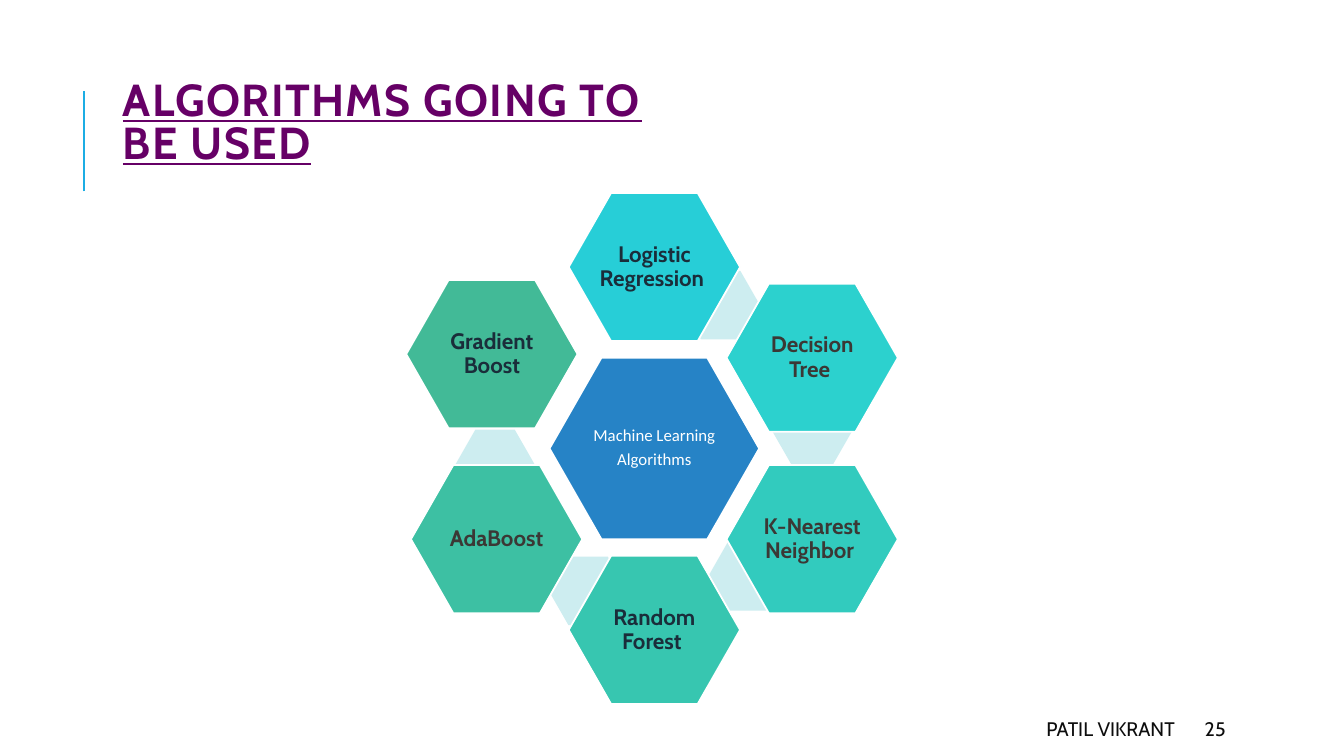
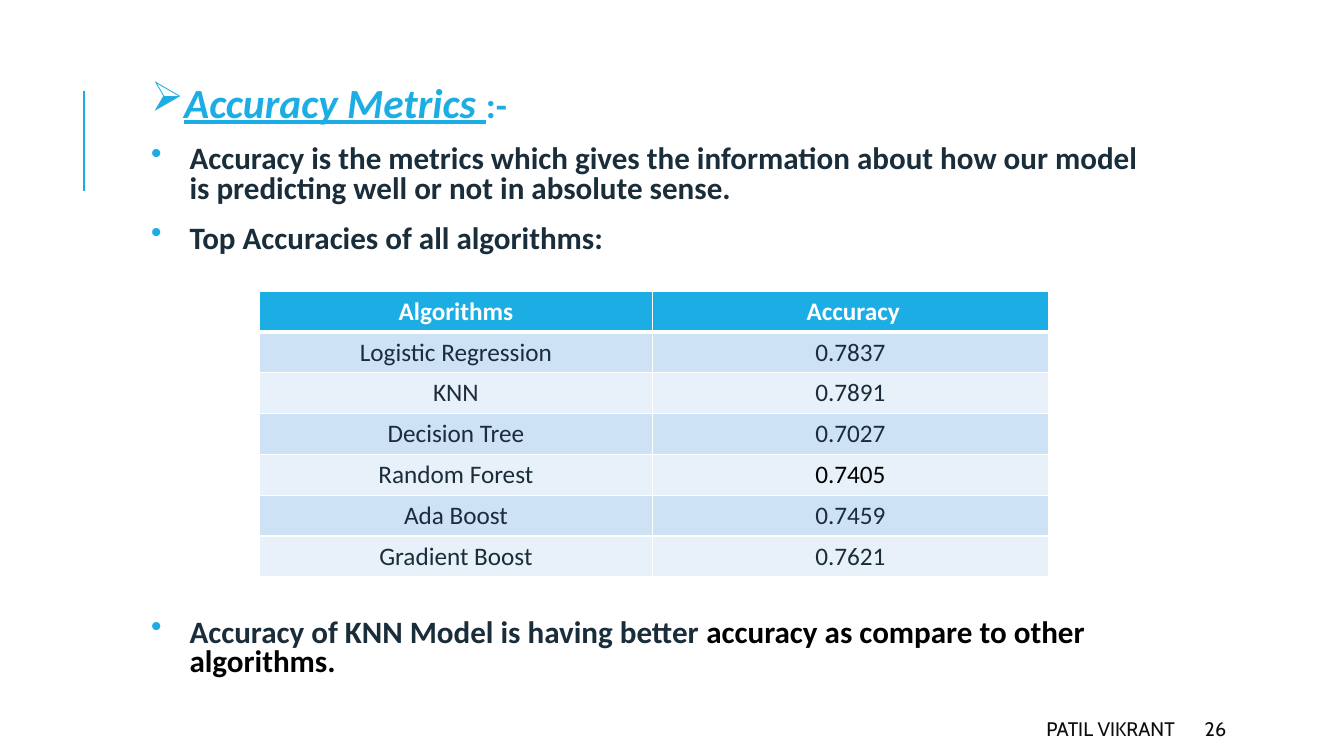
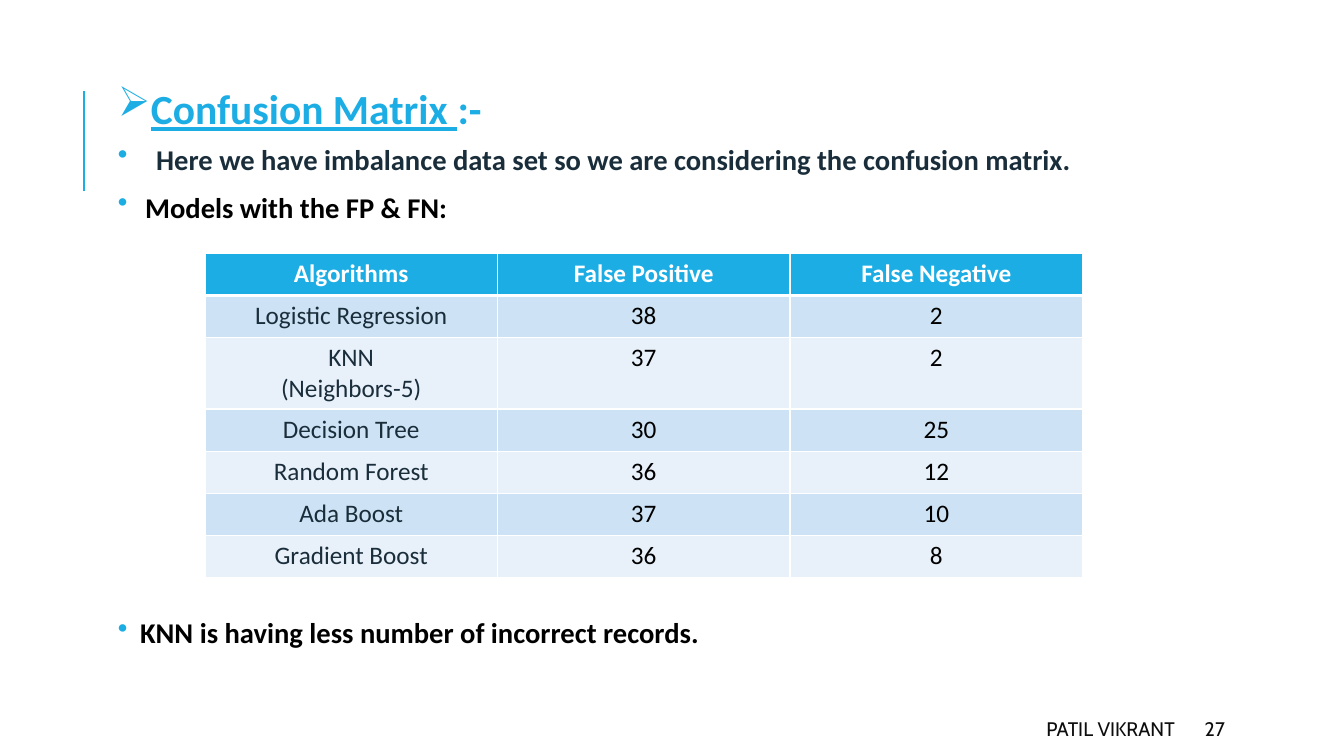
from lxml import etree
from pptx import Presentation
from pptx.dml.color import RGBColor
from pptx.enum.shapes import MSO_CONNECTOR, MSO_SHAPE
from pptx.enum.text import MSO_ANCHOR, PP_ALIGN
from pptx.oxml.ns import qn
from pptx.util import Emu, Inches, Pt

WIDE, HIGH = Inches(13.33), Inches(7.5)
HEX = MSO_SHAPE.HEXAGON
LINE = MSO_CONNECTOR.STRAIGHT
MID, TOP = MSO_ANCHOR.MIDDLE, MSO_ANCHOR.TOP
LEFT, MIDST, RIGHT = PP_ALIGN.LEFT, PP_ALIGN.CENTER, PP_ALIGN.RIGHT
HEAD, BODY = "Cabin", "Calibri"
BLUE, INK, BLACK, WHITE = "1CADE4", "1A2D3A", "000000", "FFFFFF"
PLUM, GREY, STONE, PALE = "660066", "0D0D0D", "3B3835", "CDEDF0"
BANDS = ("CDE3F5", "E8F1FA")

HUB_X, HUB_Y = 48.69, 59.33
STEP_X, STEP_Y = 11.74, 12
NODES = (
    ("Logistic Regression ", 0, -2, "27CED7", INK),
    ("Decision Tree ", 1, -1, "2CD1CE", STONE),
    ("K-Nearest Neighbor ", 1, 1, "32CBBE", STONE),
    ("Random Forest ", 0, 2, "37C6B0", INK),
    ("AdaBoost", -1, 1, "3DC0A3", STONE),
    ("Gradient Boost", -1.03, -1.04, "42BA97", INK),
)
LINKS = ((0.42, -1.58), (1, -0.18), (0.59, 1.41), (-0.42, 1.57), (-1.01, 0.17))

SCORES = (
    ("Algorithms", " Accuracy"),
    ("Logistic Regression", "0.7837"),
    ("KNN", "0.7891"),
    ("Decision Tree", "0.7027"),
    ("Random Forest", "0.7405"),
    ("Ada Boost", "0.7459"),
    ("Gradient Boost", "0.7621"),
)
ERRORS = (
    ("Algorithms", "False Positive", "False Negative"),
    ("Logistic Regression", "38", "2"),
    ("KNN\n(Neighbors-5)", "37", "2"),
    ("Decision Tree", "30", "25"),
    ("Random Forest", "36", "12"),
    ("Ada Boost", "37", "10"),
    ("Gradient Boost", "36", "8"),
)


def rgb(code):
    """Turn a hex string into a colour."""
    return RGBColor.from_string(code)


def across(share):
    """Turn a percentage of the slide's width into a length."""
    return Emu(int(WIDE * share / 100))


def down(share):
    """Turn a percentage of the slide's height into a length."""
    return Emu(int(HIGH * share / 100))


def place(x, y, w, h):
    """Turn four percentages into left, top, width and height."""
    return across(x), down(y), across(w), down(h)


def style(font, size, color, name=BODY, bold=None):
    """Set the main traits of a font."""
    font.name, font.size, font.bold = name, Pt(size), bold
    font.color.rgb = rgb(color)


def frame(shape, anchor, pad=0.1, rise=0.05):
    """Make a shape's text wrap and set its anchor and insets."""
    text = shape.text_frame
    text.word_wrap, text.vertical_anchor = True, anchor
    text.margin_left = text.margin_right = Inches(pad)
    text.margin_top = text.margin_bottom = Inches(rise)
    return text


def label(slide, spot, words, size, color, align=LEFT, bold=None):
    """Add a one-paragraph text box and return the paragraph."""
    text = frame(slide.shapes.add_textbox(*place(*spot)), MID)
    para = text.paragraphs[0]
    para.text, para.alignment = words, align
    style(para.font, size, color, HEAD, bold)
    return para


def start(deck, number):
    """Add a slide with the side rule and the footer."""
    slide = deck.slides.add_slide(deck.slide_layouts[6])
    x = across(6.22)
    rule = slide.shapes.add_connector(LINE, x, down(25.33), x, down(12))
    rule.line.color.rgb, rule.line.width = rgb(BLUE), Pt(1.5)
    etree.SubElement(rule._element.spPr, qn("a:effectLst"))
    label(slide, (39.75, 94.4, 48.4, 4), "PATIL VIKRANT", 14, GREY, RIGHT)
    label(slide, (88.9, 94.4, 8, 4), str(number), 14, GREY)
    return slide


def cell_hex(slide, col, row, w, h, fill, edge=True):
    """Add a hexagon centred on a place of the honeycomb."""
    x, y = HUB_X + col * STEP_X, HUB_Y + row * STEP_Y
    shape = slide.shapes.add_shape(HEX, *place(x - w / 2, y - h / 2, w, h))
    shape.adjustments[0] = 0.286
    shape.shadow.inherit = False
    shape.fill.solid()
    shape.fill.fore_color.rgb = rgb(fill)
    if edge:
        shape.line.color.rgb, shape.line.width = rgb(WHITE), Pt(1.25)
    else:
        shape.line.fill.background()
    return shape


def caption(shape, words, size, color, name, bold):
    """Write centred text inside a hexagon."""
    text = frame(shape, MID, 0.02, 0.02)
    text.text = words
    for para in text.paragraphs:
        para.alignment, para.line_spacing = MIDST, 0.9
        para.space_after = Pt(size * 0.35)
        style(para.font, size, color, name, bold)


def bullet(para, mark, indent):
    """Give a paragraph a blue bullet and a hanging indent."""
    props = para._p.get_or_add_pPr()
    props.set("marL", str(Inches(indent)))
    props.set("indent", str(-Inches(indent)))
    tint = etree.SubElement(props, qn("a:buClr"))
    etree.SubElement(tint, qn("a:srgbClr")).set("val", BLUE)
    etree.SubElement(props, qn("a:buChar")).set("char", mark)


def point(text, runs, size, indent=0.38, gap=12, pitch=0.8, mark="•"):
    """Add a bold bulleted paragraph of (words, colour) runs."""
    para = text.paragraphs[0] if mark == "➢" else text.add_paragraph()
    para.line_spacing = pitch
    para.space_before, para.space_after = Pt(gap), Pt(2)
    bullet(para, mark, indent)
    for words, color in runs:
        run = para.add_run()
        run.text = words
        style(run.font, size, color, BODY, True)
    return para


def heading(text, words, pitch, tail, slant=None):
    """Add the arrowed, underlined heading of a body text."""
    runs = ((words, BLUE), (":-", BLUE))
    para = point(text, runs, 29.6, 0.1, pitch=pitch, mark="➢")
    first, last = para.runs
    first.font.underline, first.font.italic = True, slant
    last.font.size = Pt(tail)


def border(cell, base):
    """Draw white borders round a cell, with the given bottom width."""
    props = cell._tc.get_or_add_tcPr()
    for spot, (side, width) in enumerate(zip("LRTB", (1, 1, 1, base))):
        line = etree.Element(qn("a:ln" + side), w=str(Pt(width)))
        fill = etree.SubElement(line, qn("a:solidFill"))
        etree.SubElement(fill, qn("a:srgbClr")).set("val", WHITE)
        props.insert(spot, line)


def grid(slide, x, y, cols, rows, data, dark):
    """Add a banded table; the values in dark are black."""
    spot = place(x, y, sum(cols), sum(rows))
    table = slide.shapes.add_table(len(rows), len(cols), *spot).table
    for col, width in zip(table.columns, cols):
        col.width = across(width)
    for r, (row, height) in enumerate(zip(data, rows)):
        table.rows[r].height = down(height)
        for c, words in enumerate(row):
            cell = table.cell(r, c)
            cell.text = words
            cell.fill.solid()
            cell.fill.fore_color.rgb = rgb(BANDS[(r - 1) % 2] if r else BLUE)
            color = BLACK if words in dark else INK
            for para in cell.text_frame.paragraphs:
                para.alignment = MIDST
                style(para.font, 18, color if r else WHITE, BODY, not r)
            border(cell, 1 if r else 3)


def body(slide, *spot):
    """Add the text box that holds a slide's bullets."""
    return frame(slide.shapes.add_textbox(*place(*spot)), TOP, 0.05)


def methods(deck):
    """Build the honeycomb of algorithms."""
    slide = start(deck, 25)
    title = label(slide, (8.4, 12.53, 44.04, 8.13),
                  "ALGORITHMS GOING TO BE USED", 32, PLUM, bold=True)
    title.line_spacing, title.font.underline = 0.8, True
    title.runs[0].font._element.set("spc", "100")
    hub = cell_hex(slide, 0, 0, 15.6, 24, "2683C6")
    caption(hub, "Machine Learning\nAlgorithms", 12, WHITE, BODY, False)
    for col, row in LINKS:
        cell_hex(slide, col, row, 5.85, 9.07, PALE, False)
    for words, col, row, fill, color in NODES:
        node = cell_hex(slide, col, row, 12.75, 19.6, fill)
        caption(node, words, 16, color, HEAD, True)


def accuracy(deck):
    """Build the slide of accuracy scores."""
    slide = start(deck, 26)
    text = body(slide, 10.88, 10.8, 76.14, 81.6)
    heading(text, "Accuracy Metrics ", 0.8, 25.9, True)
    point(text, (("Accuracy is the metrics which gives the information about "
                  "how our model is predicting well or not in absolute "
                  "sense.", INK),), 22.2)
    point(text, (("Top Accuracies of all algorithms:", INK),), 22.2)
    point(text, (("Accuracy of KNN Model is having better", INK),
                 (" accuracy as compare to other algorithms.", BLACK)),
          22.2, gap=258)
    grid(slide, 19.3, 38.53, (29.25, 29.45), (5.4,) * 7, SCORES, {"0.7405"})


def matrix(deck):
    """Build the slide of false positives and negatives."""
    slide = start(deck, 27)
    text = body(slide, 8.4, 12.13, 80.5, 80.53)
    heading(text, "Confusion Matrix ", 0.7, 29.6)
    point(text, (("Here we have imbalance data set so we are considering the "
                  "confusion matrix.", INK),), 20.4, pitch=0.7)
    point(text, (("Models with the FP & FN:", BLACK),), 20.4, 0.27, 15, 0.7)
    point(text, (("KNN is having less number of incorrect records.", BLACK),),
          20.4, 0.22, 285, 0.7)
    dark = {value for row in ERRORS[1:] for value in row[1:]}
    rows = (5.57, 5.57, 9.47) + (5.57,) * 4
    grid(slide, 15.25, 33.5, (21.77,) * 3, rows, ERRORS, dark)


def main():
    """Build and save the deck."""
    deck = Presentation()
    deck.slide_width, deck.slide_height = WIDE, HIGH
    for build in (methods, accuracy, matrix):
        build(deck)
    deck.save("out.pptx")


if __name__ == "__main__":
    main()
